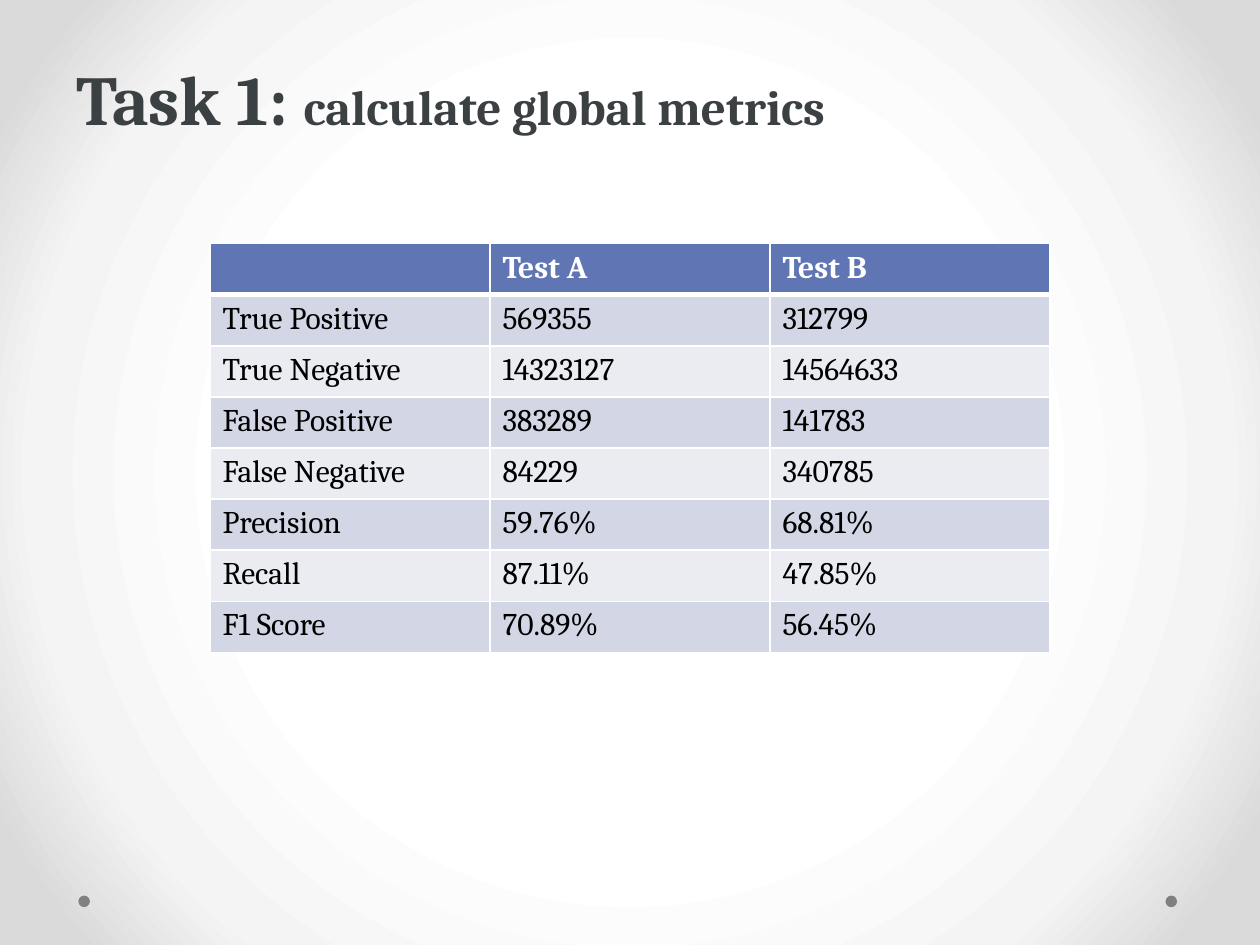
from pptx import Presentation
from pptx.dml.color import RGBColor
from pptx.enum.shapes import MSO_SHAPE
from pptx.enum.text import MSO_ANCHOR
from pptx.oxml import parse_xml
from pptx.oxml.ns import nsdecls
from pptx.util import Pt


def color(value):
    return RGBColor.from_string(value)


def set_borders(cell, bottom_width):
    properties = cell._tc.get_or_add_tcPr()
    widths = {"lnL": 1, "lnR": 1, "lnT": 1, "lnB": bottom_width}
    for index, (side, width) in enumerate(widths.items()):
        properties.insert(index, parse_xml(
            f'<a:{side} {nsdecls("a")} w="{Pt(width)}"><a:solidFill>'
            f'<a:srgbClr val="FFFFFF"/></a:solidFill></a:{side}>'))


presentation = Presentation()
presentation.slide_width = Pt(720)
presentation.slide_height = Pt(540)
slide = presentation.slides.add_slide(presentation.slide_layouts[6])

gradient = [(50, "FFFFFF"), (76, "F4F4F4"), (92, "DADADA")]
stops = "".join(
    f'<a:gs pos="{position * 1000}"><a:srgbClr val="{value}"/></a:gs>'
    for position, value in gradient)
slide._element.cSld.insert(0, parse_xml(
    f'<p:bg {nsdecls("p", "a")}><p:bgPr><a:gradFill rotWithShape="1">'
    f'<a:gsLst>{stops}</a:gsLst><a:path path="circle">'
    '<a:fillToRect l="50000" t="50000" r="50000" b="50000"/></a:path>'
    '</a:gradFill><a:effectLst/></p:bgPr></p:bg>'))

for left in (666, 44.8):
    dot = slide.shapes.add_shape(MSO_SHAPE.OVAL, Pt(left), Pt(511.8), Pt(6.6), Pt(6.6))
    dot.shadow.inherit = False
    dot.fill.solid()
    dot.fill.fore_color.rgb = color("808080")
    dot.line.fill.background()

metrics = [
    ("", "Test A", "Test B"),
    ("True Positive", "569355", "312799"),
    ("True Negative", "14323127", "14564633"),
    ("False Positive", "383289", "141783"),
    ("False Negative", "84229", "340785"),
    ("Precision", "59.76%", "68.81%"),
    ("Recall", "87.11%", "47.85%"),
    ("F1 Score", "70.89%", "56.45%"),
]
table = slide.shapes.add_table(
    len(metrics), 3, Pt(120), Pt(139.2), Pt(480), Pt(233.6)).table
for row_index, values in enumerate(metrics):
    header = row_index == 0
    fill = "6076B4" if header else ("EAECF2", "D2D6E5")[row_index % 2]
    for column_index, value in enumerate(values):
        cell = table.cell(row_index, column_index)
        cell.text = value
        cell.fill.solid()
        cell.fill.fore_color.rgb = color(fill)
        set_borders(cell, 3 if header else 1)
        font = cell.text_frame.paragraphs[0].font
        font.name = "Cambria"
        font.size = Pt(18)
        font.bold = header
        font.color.rgb = color("FFFFFF" if header else "000000")

title = slide.shapes.add_textbox(Pt(36.7), Pt(29.5), Pt(555), Pt(54))
title.text_frame.word_wrap = True
title.text_frame.vertical_anchor = MSO_ANCHOR.BOTTOM
paragraph = title.text_frame.paragraphs[0]
paragraph.line_spacing = Pt(58)
paragraph.font.name = "Cambria"
paragraph.font.bold = True
paragraph.font.color.rgb = color("3B4042")
for text, size in (("Task 1: ", 40), ("calculate global metrics", 28)):
    run = paragraph.add_run()
    run.text = text
    run.font.size = Pt(size)

presentation.save("out.pptx")
